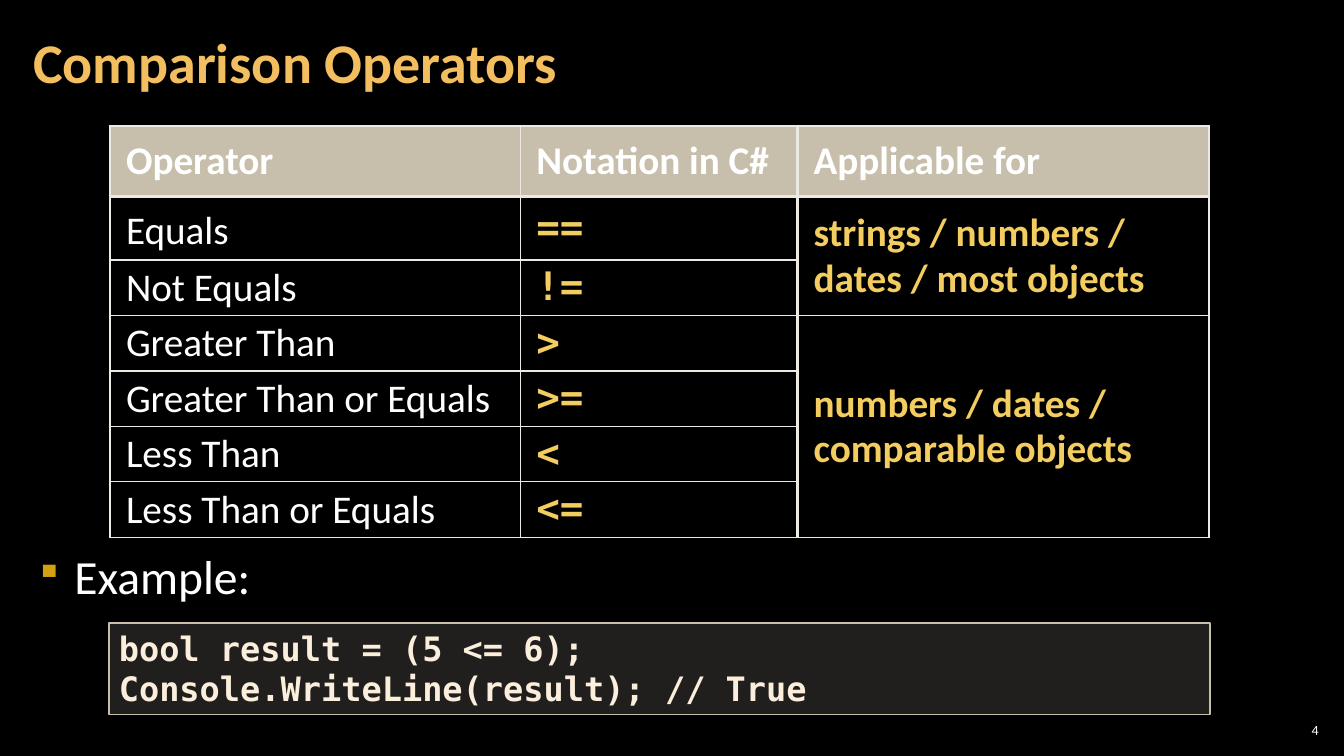
from lxml import etree
from pptx import Presentation
from pptx.dml import color
from pptx.enum import shapes, text
from pptx.oxml import ns
from pptx.util import Inches, Pt

COLORS = {
    "background": "000000",
    "white": "FFFFFF",
    "title": "F3BE60",
    "accent": "F3CD60",
    "border": "ECEAE3",
    "header": "C7BFAC",
    "code_fill": "D9D5C7",
    "code_text": "FBEEDC",
    "bullet": "D2A010",
}
BODY_FONT = "Calibri"
CODE_FONT = "DejaVu Sans Mono"
HEADERS = ["Operator", "Notation in C#", "Applicable for"]
OPERATORS = [
    ("Equals", "=="),
    ("Not Equals", "!="),
    ("Greater Than", ">"),
    ("Greater Than or Equals", ">="),
    ("Less Than", "<"),
    ("Less Than or Equals", "<="),
]
APPLICABILITY = [
    (1, 2, "strings / numbers / dates / most objects"),
    (3, 6, "numbers / dates / comparable objects"),
]
COLUMN_WIDTHS = [4.07, 2.75, 4.08]
ROW_HEIGHTS = [0.7, 0.63] + [0.55] * 5
VERTICAL_RULES = [2.25, 1, 2.25, 2.25]
HORIZONTAL_RULES = [2.25, 2.25] + [1] * 6


def rgb(name):
    return color.RGBColor.from_string(COLORS[name])


def add_xml(parent, tag, **attributes):
    return etree.SubElement(parent, ns.qn(tag), attributes)


def set_fill(fill, name, opacity):
    fill.solid()
    fill.fore_color.rgb = rgb(name)
    tint = fill._xPr.find(".//" + ns.qn("a:srgbClr"))
    add_xml(tint, "a:alpha", val=str(opacity * 1000))


def write(frame, content, size, name, font=BODY_FONT, bold=False, spacing=None):
    frame.text = content
    frame.word_wrap = True
    for paragraph in frame.paragraphs:
        paragraph.alignment = text.PP_ALIGN.LEFT
        paragraph.line_spacing = spacing
        for run in paragraph.runs:
            run.font.size = Pt(size)
            run.font.name = font
            run.font.bold = bold
            run.font.color.rgb = rgb(name)


def set_margins(box, horizontal, vertical):
    box.margin_left = box.margin_right = Inches(horizontal)
    box.margin_top = box.margin_bottom = Inches(vertical)


def space_out(paragraph):
    paragraph.line_spacing = Pt(38)
    paragraph.space_before = paragraph.space_after = Pt(6)


def add_label(slide, left, top, width, height, content, size, name, **style):
    frame = slide.shapes.add_textbox(
        Inches(left), Inches(top), Inches(width), Inches(height)
    ).text_frame
    write(frame, content, size, name, **style)
    return frame


def set_borders(cell, row, column):
    properties = cell._tc.get_or_add_tcPr()
    edges = [
        ("a:lnL", VERTICAL_RULES[column]),
        ("a:lnR", VERTICAL_RULES[column + 1]),
        ("a:lnT", HORIZONTAL_RULES[row]),
        ("a:lnB", HORIZONTAL_RULES[row + 1]),
    ]
    for tag, width in edges:
        edge = add_xml(properties, tag, w=str(Pt(width)))
        add_xml(add_xml(edge, "a:solidFill"), "a:srgbClr", val=COLORS["border"])


def write_cell(cell, content, name="white", font=BODY_FONT, bold=True):
    write(cell.text_frame, content, 28, name, font, bold, 0.95)


def add_operator_table(slide):
    grid = slide.shapes.add_table(
        len(ROW_HEIGHTS), len(COLUMN_WIDTHS), Inches(1.09), Inches(1.25),
        Inches(sum(COLUMN_WIDTHS)), Inches(sum(ROW_HEIGHTS)),
    ).table
    grid.first_row = grid.horz_banding = False
    for column, width in zip(grid.columns, COLUMN_WIDTHS):
        column.width = Inches(width)
    for row, height in zip(grid.rows, ROW_HEIGHTS):
        row.height = Inches(height)

    for row in range(len(ROW_HEIGHTS)):
        for column in range(len(COLUMN_WIDTHS)):
            cell = grid.cell(row, column)
            set_margins(cell, 0.16, 0.05)
            cell.vertical_anchor = text.MSO_ANCHOR.MIDDLE
            set_borders(cell, row, column)
            if row == 0:
                set_fill(cell.fill, "header", 50)
            else:
                cell.fill.background()

    for column, header in enumerate(HEADERS):
        write_cell(grid.cell(0, column), header)
    for row, (operator, notation) in enumerate(OPERATORS, 1):
        write_cell(grid.cell(row, 0), operator, bold=False)
        write_cell(grid.cell(row, 1), notation, "accent", CODE_FONT)
    for first, last, types in APPLICABILITY:
        grid.cell(first, 2).merge(grid.cell(last, 2))
        write_cell(grid.cell(first, 2), types, "accent")
    space_out(grid.cell(1, 0).text_frame.paragraphs[0])


def add_code(slide, content):
    panel = slide.shapes.add_shape(
        shapes.MSO_SHAPE.RECTANGLE,
        Inches(1.08), Inches(6.18), Inches(10.92), Inches(0.91),
    )
    panel.shadow.inherit = False
    set_fill(panel.fill, "code_fill", 15)
    panel.line.color.rgb = rgb("header")
    panel.line.width = Pt(1)
    write(panel.text_frame, content, 24, "code_text", CODE_FONT, True)
    panel.text_frame.vertical_anchor = text.MSO_ANCHOR.TOP


def add_bullet(slide, content):
    frame = add_label(slide, 0.25, 5.42, 9.5, 0.75, content, 34, "white")
    paragraph = frame.paragraphs[0]
    space_out(paragraph)
    properties = paragraph._p.get_or_add_pPr()
    properties.set("marL", str(Inches(0.39)))
    properties.set("indent", str(Inches(-0.39)))
    add_xml(add_xml(properties, "a:buClr"), "a:srgbClr", val=COLORS["bullet"])
    add_xml(properties, "a:buSzPct", val="80000")
    add_xml(properties, "a:buChar", char="▪")


def main():
    deck = Presentation()
    deck.slide_width, deck.slide_height = Inches(13.33), Inches(7.5)
    slide = deck.slides.add_slide(deck.slide_layouts[6])
    slide.background.fill.solid()
    slide.background.fill.fore_color.rgb = rgb("background")

    page_number = add_label(slide, 12.65, 7.14, 0.47, 0.21, "4", 10, "white")
    set_margins(page_number, 0.04, 0.04)
    page_number.vertical_anchor = text.MSO_ANCHOR.MIDDLE
    page_number.paragraphs[0].alignment = text.PP_ALIGN.RIGHT

    add_operator_table(slide)

    title = add_label(slide, 0.21, 0.04, 10.47, 1.21, "Comparison Operators",
                      40, "title", bold=True, spacing=0.9)
    set_margins(title, 0.12, 0.04)
    title.vertical_anchor = text.MSO_ANCHOR.MIDDLE

    add_code(slide, "bool result = (5 <= 6);\nConsole.WriteLine(result); // True")
    add_bullet(slide, "Example:")
    deck.save("out.pptx")


if __name__ == "__main__":
    main()
